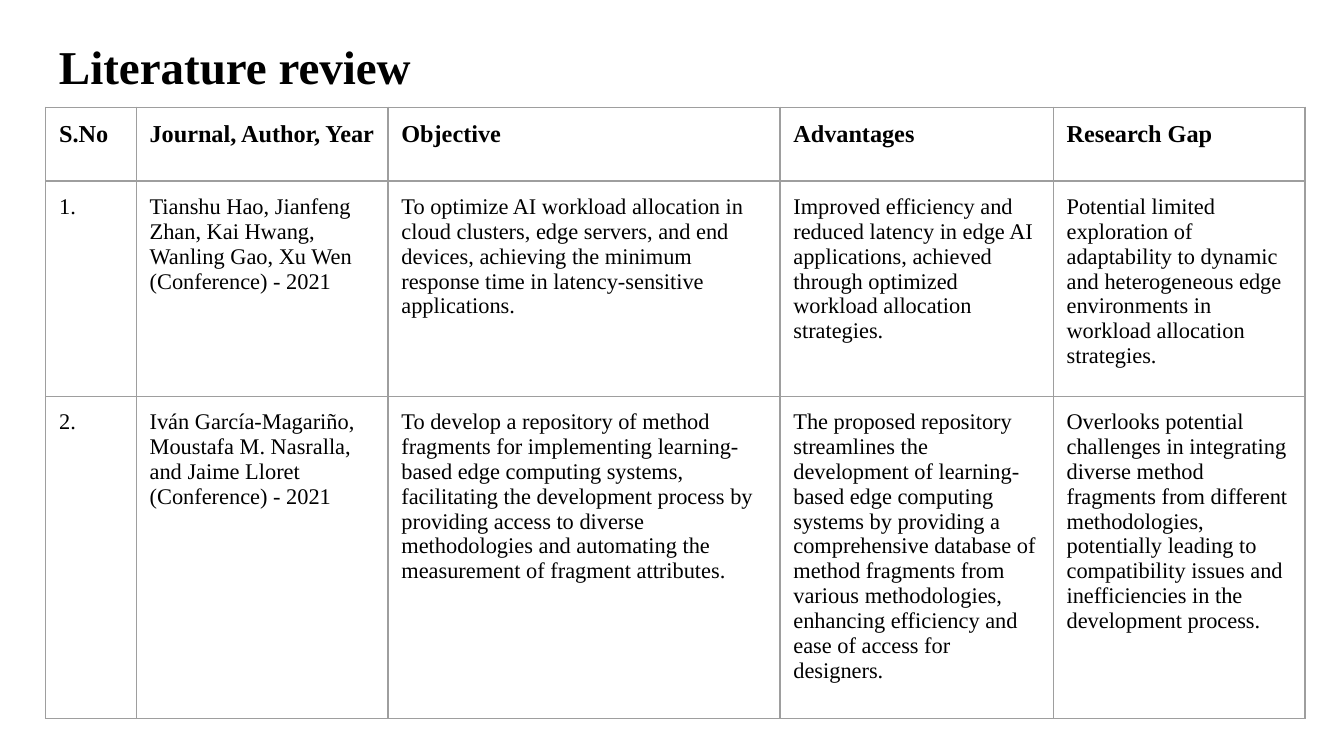
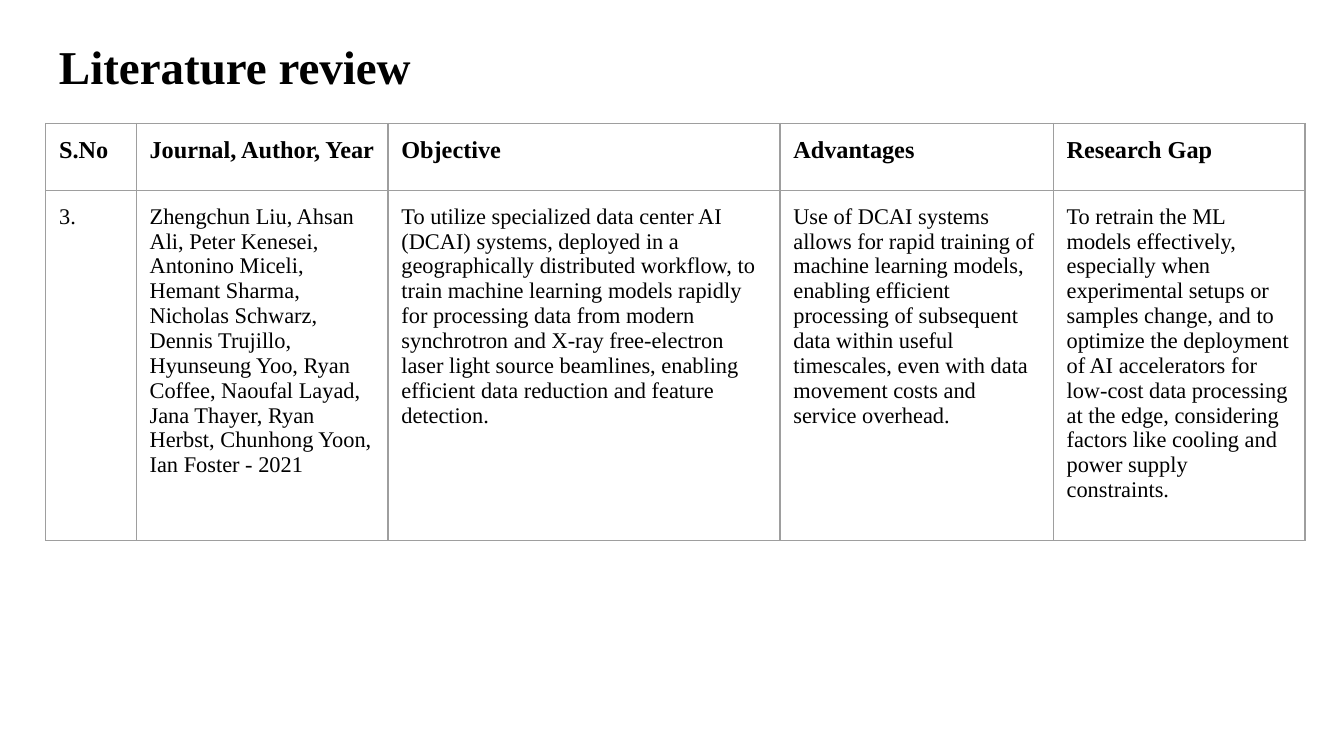
from dataclasses import dataclass

from lxml.etree import SubElement
from pptx import Presentation
from pptx.dml.color import RGBColor
from pptx.enum.text import MSO_ANCHOR as Anchor
from pptx.oxml.ns import qn
from pptx.slide import Slide
from pptx.table import _Cell as Cell
from pptx.text.text import TextFrame
from pptx.util import Pt

BLACK = RGBColor(0x00, 0x00, 0x00)
BORDER_GREY = RGBColor(0x9E, 0x9E, 0x9E)
FONT = "Times New Roman"
TITLE = "Literature review"
TITLE_SIZE, HEADER_SIZE, BODY_SIZE = 25.2, 13, 12

LEFT = 24.5
INSET = 7.2
BORDER_WIDTH = 0.75
COLUMN_WIDTHS = (48.5, 134.9, 210, 146.4, 134.9)
HEADINGS = ("S.No", "Journal, Author, Year", "Objective", "Advantages", "Research Gap")


@dataclass(frozen=True)
class Study:
    number: str
    authors: str
    objective: str
    advantages: str
    research_gap: str

    def entries(self) -> tuple[str, ...]:
        return (self.number, self.authors, self.objective, self.advantages, self.research_gap)


@dataclass(frozen=True)
class ReviewPage:
    table_top: float
    row_heights: tuple[float, ...]
    studies: tuple[Study, ...]


PAGES = (
    ReviewPage(57.4, (39.6, 112.3, 91.4), (
        Study(
            "1.",
            "Tianshu Hao, Jianfeng Zhan, Kai Hwang, Wanling Gao, Xu Wen\n(Conference) - 2021",
            "To optimize AI workload allocation in cloud clusters, edge servers, and end devices, "
            "achieving the minimum response time in latency-sensitive applications.",
            "Improved efficiency and reduced latency in edge AI applications, achieved through "
            "optimized workload allocation strategies.",
            "Potential limited exploration of adaptability to dynamic and heterogeneous edge "
            "environments in workload allocation strategies.",
        ),
        Study(
            "2.",
            "Iván García-Magariño, Moustafa M. Nasralla, and Jaime Lloret\n(Conference) - 2021",
            "To develop a repository of method fragments for implementing learning-based edge "
            "computing systems, facilitating the development process by providing access to "
            "diverse methodologies and automating the measurement of fragment attributes.",
            "The proposed repository streamlines the development of learning-based edge computing "
            "systems by providing a comprehensive database of method fragments from various "
            "methodologies, enhancing efficiency and ease of access for designers.",
            "Overlooks potential challenges in integrating diverse method fragments from different "
            "methodologies, potentially leading to compatibility issues and inefficiencies in the "
            "development process.",
        ),
    )),
    ReviewPage(66.2, (36, 91.4), (
        Study(
            "3.",
            "Zhengchun Liu, Ahsan Ali, Peter Kenesei, Antonino Miceli, Hemant Sharma, Nicholas "
            "Schwarz, Dennis Trujillo, Hyunseung Yoo, Ryan Coffee, Naoufal Layad, Jana Thayer, "
            "Ryan Herbst, Chunhong Yoon, Ian Foster - 2021",
            "To utilize specialized data center AI (DCAI) systems, deployed in a geographically "
            "distributed workflow, to train machine learning models rapidly for processing data "
            "from modern synchrotron and X-ray free-electron laser light source beamlines, "
            "enabling efficient data reduction and feature detection.",
            "Use of DCAI systems allows for rapid training of machine learning models, enabling "
            "efficient processing of subsequent data within useful timescales, even with data "
            "movement costs and service overhead.",
            "To retrain the ML models effectively, especially when experimental setups or samples "
            "change, and to optimize the deployment of AI accelerators for low-cost data "
            "processing at the edge, considering factors like cooling and power supply constraints.",
        ),
    )),
)


def write_text(frame: TextFrame, text: str, size: float, bold: bool) -> None:
    """Fill the frame, one paragraph per line of text."""
    frame.text = text
    for paragraph in frame.paragraphs:
        font = paragraph.font
        font.name, font.size, font.bold = FONT, Pt(size), bold
        font.color.rgb = BLACK


def add_title(slide: Slide) -> None:
    title = slide.shapes.add_textbox(Pt(LEFT), Pt(12.2), Pt(671), Pt(45.4))
    frame = title.text_frame
    frame.word_wrap = True
    frame.vertical_anchor = Anchor.BOTTOM
    frame.margin_left = frame.margin_right = Pt(INSET)
    frame.margin_top = frame.margin_bottom = Pt(INSET)
    write_text(frame, TITLE, TITLE_SIZE, bold=True)


def style_cell(cell: Cell) -> None:
    cell.margin_left = cell.margin_right = Pt(INSET)
    cell.margin_top = cell.margin_bottom = Pt(INSET)
    properties = cell._tc.get_or_add_tcPr()
    for side in ("a:lnL", "a:lnR", "a:lnT", "a:lnB"):
        border = SubElement(properties, qn(side), w=str(Pt(BORDER_WIDTH)))
        fill = SubElement(border, qn("a:solidFill"))
        SubElement(fill, qn("a:srgbClr"), val=str(BORDER_GREY))
    cell.fill.background()


def add_review_table(slide: Slide, page: ReviewPage) -> None:
    rows = (HEADINGS, *(study.entries() for study in page.studies))
    table = slide.shapes.add_table(
        len(rows), len(HEADINGS), Pt(LEFT), Pt(page.table_top),
        Pt(sum(COLUMN_WIDTHS)), Pt(sum(page.row_heights)),
    ).table
    table.horz_banding = False
    for column, width in zip(table.columns, COLUMN_WIDTHS):
        column.width = Pt(width)
    for row_index, (row, height, entries) in enumerate(zip(table.rows, page.row_heights, rows)):
        row.height = Pt(height)
        is_header = row_index == 0
        for cell, entry in zip(row.cells, entries):
            style_cell(cell)
            write_text(cell.text_frame, entry, HEADER_SIZE if is_header else BODY_SIZE, is_header)


def main() -> None:
    deck = Presentation()
    deck.slide_width, deck.slide_height = Pt(720), Pt(405)
    blank_layout = deck.slide_layouts[6]
    for page in PAGES:
        slide = deck.slides.add_slide(blank_layout)
        add_title(slide)
        add_review_table(slide, page)
    deck.save("out.pptx")


if __name__ == "__main__":
    main()
